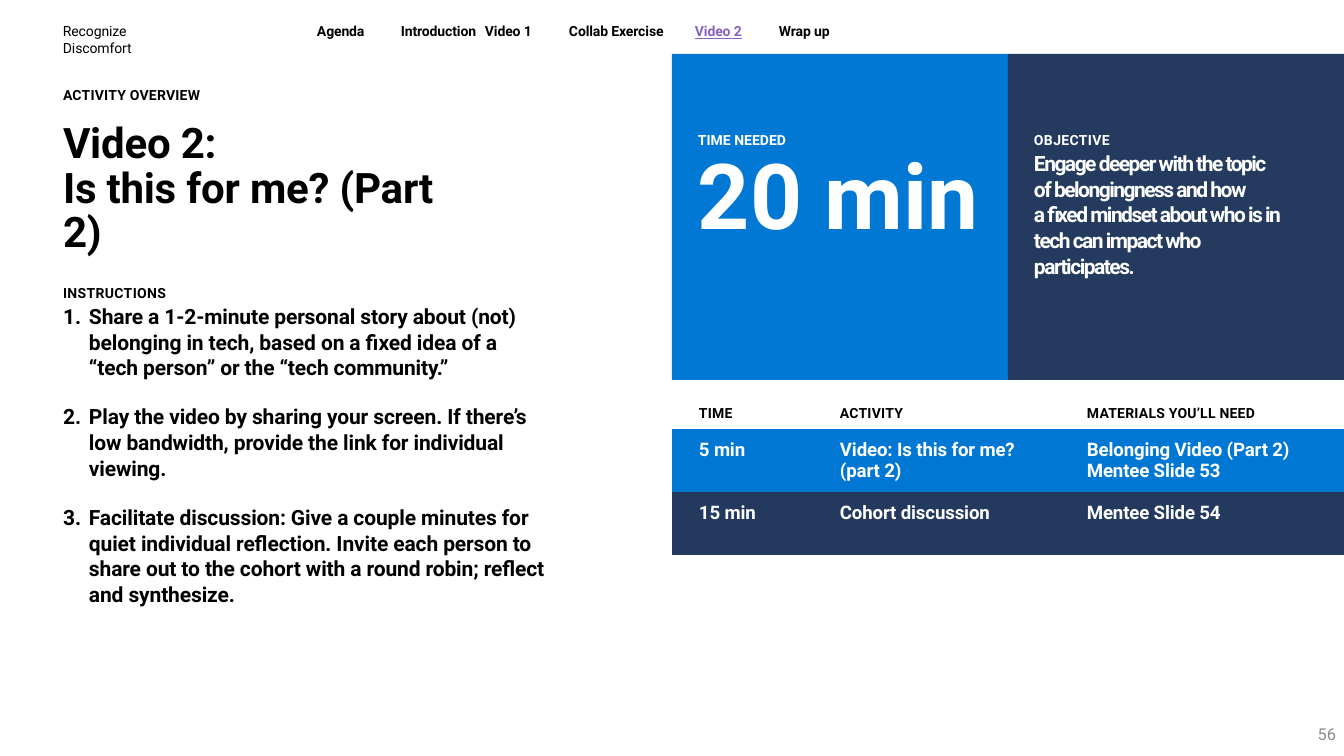
from lxml.etree import SubElement
from pptx import Presentation
from pptx.dml.color import RGBColor
from pptx.enum.shapes import MSO_SHAPE as Shape
from pptx.enum.text import MSO_ANCHOR as Anchor, PP_ALIGN as Align
from pptx.oxml.ns import qn
from pptx.util import Emu, Pt

FONT = "Roboto"
BLACK, WHITE, GREY, PURPLE = "000000", "FFFFFF", "8C8C8C", "8661C4"
PANEL_BLUE, PANEL_NAVY = "0078D4", "243A5E"
ROW_BLUE, ROW_NAVY = "0078D3", "23395E"
NO_GRID_STYLE = "{2D5ABB26-0587-4C30-8999-92F81FD0307C}"

INSTRUCTIONS = [
    "Share a 1-2-minute personal story about (not) belonging in tech, "
    "based on a fixed idea of a “tech person” or the “tech community.”",
    "Play the video by sharing your screen. If there’s low bandwidth, "
    "provide the link for individual viewing.",
    "Facilitate discussion: Give a couple minutes for quiet individual "
    "reflection. Invite each person to share out to the cohort with a "
    "round robin; reflect and synthesize.",
]
SCHEDULE = [
    ("TIME", "ACTIVITY", "MATERIALS YOU’LL NEED"),
    ("5 min", "Video: Is this for me? (part 2)",
     "Belonging Video (Part 2)\nMentee Slide 53"),
    ("15 min", "Cohort discussion", "Mentee Slide 54"),
]


def px(n):
    return Emu(round(n * 914400 / 84))


def rgb(value):
    return RGBColor.from_string(value)


def write(paragraph, text, size=12, color=BLACK, bold=True, spacing=0,
          underline=False):
    """Add formatted text; spacing is in hundredths of a point."""
    for i, line in enumerate(text.split("\n")):
        if i:
            paragraph.add_line_break()
        run = paragraph.add_run()
        run.text = line
        font = run.font
        font.name, font.size, font.bold = FONT, Pt(size), bold
        font.color.rgb = rgb(color)
        if underline:
            font.underline = True
        if spacing:
            font._element.set("spc", str(spacing))


def prepare(frame, anchor=Anchor.TOP):
    frame.word_wrap = True
    frame.vertical_anchor = anchor
    frame.margin_left = frame.margin_right = 0
    frame.margin_top = frame.margin_bottom = 0
    return frame


def add_text(slide, box, text="", anchor=Anchor.TOP, align=Align.LEFT, **style):
    area = slide.shapes.add_textbox(*map(px, box))
    frame = prepare(area.text_frame, anchor)
    frame.paragraphs[0].alignment = align
    if text:
        write(frame.paragraphs[0], text, **style)
    return frame


def add_panel(slide, box, color):
    panel = slide.shapes.add_shape(Shape.RECTANGLE, *map(px, box))
    panel.shadow.inherit = False
    panel.fill.solid()
    panel.fill.fore_color.rgb = rgb(color)
    panel.line.fill.background()


def add_steps(slide, box, steps):
    frame = add_text(slide, box)
    for i, step in enumerate(steps):
        paragraph = frame.add_paragraph() if i else frame.paragraphs[0]
        props = paragraph._p.get_or_add_pPr()
        props.set("marL", str(px(26)))
        props.set("indent", str(px(-26)))
        SubElement(props, qn("a:buFont"), typeface=FONT)
        SubElement(props, qn("a:buAutoNum"), type="arabicPeriod")
        paragraph.line_spacing = 1.02
        if i:
            paragraph.space_before = Pt(20)
        else:
            props.set("marR", str(px(25)))
        write(paragraph, step, size=18, spacing=-10)


def add_schedule(slide, box, widths, heights, rows):
    table = slide.shapes.add_table(len(rows), len(widths), *map(px, box)).table
    table.first_row = table.horz_banding = False
    table._tbl.tblPr.find(qn("a:tableStyleId")).text = NO_GRID_STYLE
    for column, width in zip(table.columns, widths):
        column.width = px(width)
    for r, (row, height) in enumerate(zip(rows, heights)):
        table.rows[r].height = px(height)
        for c, text in enumerate(row):
            cell = table.cell(r, c)
            cell.margin_left = cell.margin_right = px(27)
            cell.margin_top, cell.margin_bottom = px(10 if r else 8), 0
            if r:
                cell.fill.solid()
                cell.fill.fore_color.rgb = rgb(ROW_BLUE if r == 1 else ROW_NAVY)
                style = dict(size=16, color=WHITE, spacing=-10)
            else:
                cell.fill.background()
                style = dict(spacing=20)
            write(cell.text_frame.paragraphs[0], text, **style)


def main():
    deck = Presentation()
    deck.slide_width, deck.slide_height = px(1344), px(756)
    slide = deck.slides.add_slide(deck.slide_layouts[5])

    # Title
    title = slide.shapes.title
    title.left, title.top, title.width, title.height = map(px, (63, 123, 407, 134))
    heading = prepare(title.text_frame).paragraphs[0]
    heading.alignment, heading.line_spacing = Align.LEFT, Pt(38)
    write(heading, "Video 2:\nIs this for me? (Part 2)", size=36, spacing=-20)

    # Section name and navigation, on default one-inch tabs
    add_text(slide, (63, 23, 100, 34), "Recognize Discomfort", bold=False,
             spacing=-10)
    nav = add_text(slide, (317, 23, 1027, 17)).paragraphs[0]
    write(nav, "Agenda\tIntroduction\tVideo 1\tCollab Exercise\t", spacing=-10)
    write(nav, "Video 2", color=PURPLE, underline=True, spacing=-10)
    write(nav, "\tWrap up", spacing=-10)

    # Overview and instructions
    add_text(slide, (63, 87, 400, 17), "ACTIVITY OVERVIEW", spacing=20)
    add_text(slide, (63, 285, 400, 17), "INSTRUCTIONS", spacing=30)
    add_steps(slide, (63, 303, 509, 280), INSTRUCTIONS)

    # Time panel
    add_panel(slide, (672, 54, 336, 326), PANEL_BLUE)
    add_text(slide, (698, 132, 114, 17), "TIME NEEDED", color=WHITE)
    add_text(slide, (698, 138, 300, 107), "20 min", size=78, color=WHITE)

    # Objective panel
    add_panel(slide, (1008, 54, 336, 326), PANEL_NAVY)
    objective = add_text(slide, (1034, 132, 258, 146), "OBJECTIVE", color=WHITE,
                         spacing=30)
    goal = objective.add_paragraph()
    goal.line_spacing, goal.space_before = 1.02, Pt(1)
    write(goal, "Engage deeper with the topic\nof belongingness and how\n"
          "a fixed mindset about who is in tech can impact who participates.",
          size=18, color=WHITE, spacing=-130)

    # Schedule
    add_schedule(slide, (672, 397, 672, 158), (141, 247, 284), (32, 63, 63),
                 SCHEDULE)

    # Page number
    add_text(slide, (1042, 713, 294, 41), "56", anchor=Anchor.MIDDLE,
             align=Align.RIGHT, size=14, color=GREY, bold=False)

    deck.save("out.pptx")


if __name__ == "__main__":
    main()
